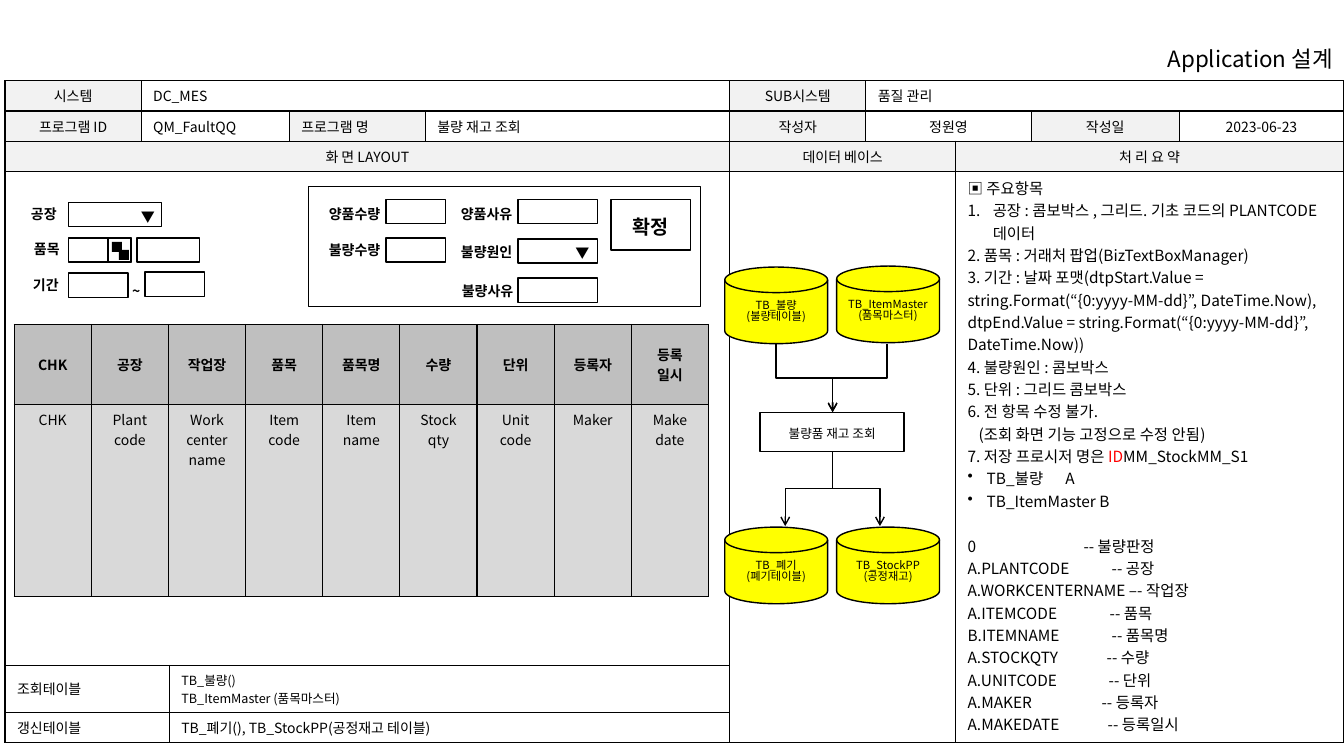
from dataclasses import dataclass

from lxml import etree
from pptx import Presentation
from pptx.dml.color import RGBColor
from pptx.enum.shapes import MSO_CONNECTOR, MSO_SHAPE
from pptx.enum.text import MSO_ANCHOR, PP_ALIGN
from pptx.oxml.ns import qn
from pptx.util import Inches, Pt

CELL = Inches(0.1)  # one grid column or row
FONT = "Noto Sans CJK KR"
BLACK, RED, YELLOW = "000000", "FF0000", "FFFF00"
HEAD, GRID_HEAD, GRID_BODY = "F2F2F2", "BFBFBF", "D9D9D9"
LEFT, CENTER, RIGHT = PP_ALIGN.LEFT, PP_ALIGN.CENTER, PP_ALIGN.RIGHT
TOP, MIDDLE = MSO_ANCHOR.TOP, MSO_ANCHOR.MIDDLE
RECT, DISK, ELBOW = MSO_SHAPE.RECTANGLE, MSO_SHAPE.FLOWCHART_MAGNETIC_DISK, MSO_CONNECTOR.ELBOW


@dataclass
class Line:
    text: str
    spans: tuple = ()  # further (text, colour) pairs
    bullet: str = ""
    margin: float = 0
    hanging: bool = False
    tab: float = 0
    before: int = 0


@dataclass
class Style:
    size: float = 10
    align: int = LEFT
    bold: bool = False
    spacing: object = None


@dataclass
class Entry:
    row: int
    column: int
    lines: list
    columns: int = 1
    rows: int = 1
    fill: str = ""
    style: Style = None
    anchor: int = TOP


def grid(cells: float) -> int:
    return round(cells * CELL)


def colour(value: str) -> RGBColor:
    return RGBColor.from_string(value)


def format_span(span, style: Style, value: str = BLACK) -> None:
    span.font.size, span.font.bold = Pt(style.size), style.bold
    span.font.color.rgb = colour(value)
    span.font.name = FONT
    etree.SubElement(span._r.get_or_add_rPr(), qn("a:ea"), typeface=FONT)


def write(frame, lines: list, style: Style) -> None:
    for index, line in enumerate(lines):
        line = Line(line) if isinstance(line, str) else line
        para = frame.add_paragraph() if index else frame.paragraphs[0]
        para.text = line.text
        para.alignment, para.line_spacing = style.align, style.spacing
        if line.before:
            para.space_before = Pt(line.before)
        format_span(para.runs[0], style)
        for text, value in line.spans:
            span = para.add_run()
            span.text = text
            format_span(span, style, value)
        props = para._p.get_or_add_pPr()
        if line.margin:
            props.set("marL", str(grid(line.margin)))
            props.set("indent", str(-grid(line.margin) if line.hanging else 0))
        if line.bullet == "1.":
            etree.SubElement(props, qn("a:buAutoNum"), type="arabicPeriod")
        elif line.bullet:
            etree.SubElement(props, qn("a:buChar"), char=line.bullet)
        if line.tab:
            tabs = etree.SubElement(props, qn("a:tabLst"))
            etree.SubElement(tabs, qn("a:tab"), pos=str(grid(line.tab)), algn="l")


def prepare_cell(cell) -> None:
    """Give a cell its insets, black borders, no fill and a small empty line."""
    cell.margin_left = cell.margin_right = grid(1.2)
    cell.margin_top = cell.margin_bottom = grid(0.5)
    cell.fill.background()
    for index, side in enumerate(("lnL", "lnR", "lnT", "lnB")):
        border = etree.Element(qn(f"a:{side}"), w=str(Pt(1)))
        fill = etree.SubElement(border, qn("a:solidFill"))
        etree.SubElement(fill, qn("a:srgbClr"), val=BLACK)
        cell._tc.get_or_add_tcPr().insert(index, border)
    etree.SubElement(cell.text_frame.paragraphs[0]._p, qn("a:endParaRPr"), sz="800")


def draw_table(page, left: float, top: float, widths: list, heights: list, entries: list) -> None:
    table = page.shapes.add_table(len(heights), len(widths), grid(left), grid(top),
                                  grid(sum(widths)), grid(sum(heights))).table
    table.first_row = table.horz_banding = False
    for column, width in zip(table.columns, widths):
        column.width = grid(width)
    for row, height in zip(table.rows, heights):
        row.height = grid(height)
    for cell in table.iter_cells():
        prepare_cell(cell)
    for entry in entries:
        cell = table.cell(entry.row, entry.column)
        if entry.columns * entry.rows > 1:
            cell.merge(table.cell(entry.row + entry.rows - 1, entry.column + entry.columns - 1))
        cell.vertical_anchor = entry.anchor
        if entry.fill:
            cell.fill.solid()
            cell.fill.fore_color.rgb = colour(entry.fill)
        write(cell.text_frame, entry.lines, entry.style or Style())


def draw_box(page, left: float, top: float, width: float, height: float, fill: str = "",
             kind: int = RECT, lines: tuple = (), style: Style = None, outlined: bool = True) -> None:
    box = page.shapes.add_shape(kind, grid(left), grid(top), grid(width), grid(height))
    box.shadow.inherit = False
    if fill:
        box.fill.solid()
        box.fill.fore_color.rgb = colour(fill)
    else:
        box.fill.background()
    if outlined:
        box.line.color.rgb, box.line.width = colour(BLACK), Pt(1)
    else:
        box.line.fill.background()
    if lines:
        box.text_frame.word_wrap = True
        box.text_frame.vertical_anchor = MIDDLE
        write(box.text_frame, lines, style)


def draw_label(page, text: str, left: float, top: float, width: float, style: Style) -> None:
    label = page.shapes.add_textbox(grid(left), grid(top), grid(width), grid(2.8))
    label.text_frame.word_wrap = True
    write(label.text_frame, [text], style)


def draw_arrow(page, x1: float, y1: float, x2: float, y2: float) -> None:
    """Elbow that leaves and arrives vertically: a horizontal one, turned about its middle."""
    x, y, half_run, half_rise = (x1 + x2) / 2, (y1 + y2) / 2, (y2 - y1) / 2, abs(x2 - x1) / 2
    arrow = page.shapes.add_connector(ELBOW, grid(x - half_run), grid(y - half_rise),
                                      grid(x + half_run), grid(y + half_rise))
    arrow.line.color.rgb, arrow.line.width = colour(BLACK), Pt(1)
    props = arrow._element.spPr
    frame = props.find(qn("a:xfrm"))
    frame.set("rot", str((270 if x2 > x1 else 90) * 60000))
    if x2 > x1:
        frame.set("flipH", "1")
    etree.SubElement(props.find(qn("a:ln")), qn("a:tailEnd"), type="arrow")
    etree.SubElement(props, qn("a:effectLst"))


def head(row: int, column: int, text: str, columns: int = 1, align: int = CENTER) -> Entry:
    return Entry(row, column, [text], columns, fill=HEAD, style=Style(align=align))


CENTERED = Style(align=CENTER)
COLUMN_NOTES = [("A.PLANTCODE", "공장", 14.3), ("A.WORKCENTERNAME", "작업장", 0),
                ("A.ITEMCODE", "품목", 14.1), ("B.ITEMNAME", "품목명", 14.3),
                ("A.STOCKQTY", "수량", 13.8), ("A.UNITCODE", "단위", 14),
                ("A.MAKER", "등록자", 13.3), ("A.MAKEDATE", "등록일시", 13.9)]
SUMMARY = [
    "▣ 주요항목",
    Line("공장 : 콤보박스 , 그리드. 기초 코드의 PLANTCODE 데이터", bullet="1.", margin=2.5, hanging=True),
    "2. 품목 : 거래처 팝업(BizTextBoxManager)",
    "3. 기간 : 날짜 포맷(dtpStart.Value = string.Format(“{0:yyyy-MM-dd}”, DateTime.Now),",
    "dtpEnd.Value = string.Format(“{0:yyyy-MM-dd}”, DateTime.Now))",
    "4. 불량원인 : 콤보박스", "5. 단위 : 그리드 콤보박스", "6. 전 항목 수정 불가.",
    Line("(조회 화면 기능 고정으로 수정 안됨)", margin=1.1),
    Line("7. 저장 프로시저 명은 ", spans=(("ID", RED), ("MM_StockMM_S1", BLACK))),
    Line("TB_불량\tA", bullet="•", margin=1.9, hanging=True, tab=9.7),
    Line("TB_ItemMaster B", bullet="•", margin=1.9, hanging=True),
    Line("0\t-- 불량판정", tab=11.5, before=16),
] + [Line(f"{name}\t-- {note}", tab=tab) if tab else Line(f"{name} –- {note}")
     for name, note, tab in COLUMN_NOTES]
FORM = [
    head(0, 0, "시스템"), Entry(0, 1, ["DC_MES"], 4),
    head(0, 5, "SUB시스템"), Entry(0, 6, ["품질 관리"], 4),
    head(1, 0, "프로그램 ID"), Entry(1, 1, ["QM_FaultQQ"], 2),
    head(1, 3, "프로그램 명", align=LEFT), Entry(1, 4, ["불량 재고 조회"]),
    head(1, 5, "작성자"), Entry(1, 6, ["정원영"], 2, style=CENTERED),
    head(1, 8, "작성일"), Entry(1, 9, ["2023-06-23"], style=CENTERED),
    head(2, 0, "화 면 LAYOUT", 5), head(2, 5, "데이터 베이스", 2), head(2, 7, "처 리 요 약", 3),
    Entry(3, 0, [], 5), Entry(3, 5, [], 2, 3), Entry(3, 7, SUMMARY, 3, 3, style=Style(11)),
    Entry(4, 0, ["조회테이블"], 2, anchor=MIDDLE),
    Entry(4, 2, ["TB_불량()", "TB_ItemMaster (품목마스터)"], 3, style=Style(9), anchor=MIDDLE),
    Entry(5, 0, ["갱신테이블"], 2, anchor=MIDDLE),
    Entry(5, 2, ["TB_폐기(), TB_StockPP(공정재고 테이블)"], 3, anchor=MIDDLE),
]
STOCK_COLUMNS = [("CHK", "CHK"), ("공장", "Plant code"), ("작업장", "Work center name"),
                 ("품목", "Item code"), ("품목명", "Item name"), ("수량", "Stock qty"),
                 ("단위", "Unit code"), ("등록자", "Maker"), ("등록 일시", "Make date")]
FIELDS = [(6.8, 20.1, 9.2), (6.8, 23.6, 6.2), (10.7, 23.6, 2.3), (13.6, 23.6, 6.2),
          (6.8, 27.1, 5.9), (14.4, 27.0, 5.9), (38.3, 19.8, 5.9), (38.3, 23.6, 5.9),
          (51.4, 19.8, 7.9), (51.4, 23.7, 7.9), (51.4, 27.6, 7.9)]
LABELS = [("공장", 1.5, 19.6, 5.1), ("품목", 1.8, 23.0, 5.1), ("기간", 0.6, 26.6, 6.2),
          ("~", 12.1, 27.2, 2.8), ("양품수량", 31.1, 19.6, 7.6), ("불량수량", 31.1, 23.1, 7.6),
          ("양품사유", 44.2, 19.6, 7.6), ("불량원인", 44.0, 23.3, 7.8), ("불량사유", 44.3, 27.2, 7.6)]
DISKS = [("TB_불량", "(불량테이블)", 71.9, 26.5), ("TB_ItemMaster", "(품목마스터)", 83, 26.4),
         ("TB_폐기", "(폐기테이블)", 71.9, 52.3), ("TB_StockPP", "(공정재고)", 83, 52.3)]
ARROWS = [(77, 34.1, 82.6, 40.9), (88, 34.1, 82.6, 40.9),
          (82.6, 44.8, 87.3, 52.2), (82.6, 44.8, 77.9, 52.2)]


def main() -> None:
    deck = Presentation()
    deck.slide_width, deck.slide_height = grid(133.33), grid(75)
    page = deck.slides.add_slide(deck.slide_layouts[6])
    draw_table(page, 0.5, 8, [13.5, 2.8, 11.9, 13.5, 30.2, 13.5, 8.9, 7.5, 14.7, 16.3],
               [2.6, 2.7, 2.7, 49, 4.1, 2.7], FORM)
    draw_label(page, "Application 설계", 103.5, 4, 29.7, Style(16, RIGHT))
    stock = []
    for column, (title, field) in enumerate(STOCK_COLUMNS):
        stock.append(Entry(0, column, title.split(), fill=GRID_HEAD,
                           style=Style(align=CENTER, bold=True), anchor=MIDDLE))
        stock.append(Entry(1, column, field.split(), fill=GRID_BODY, style=CENTERED))
    draw_table(page, 1.4, 32.2, [68.9 / len(STOCK_COLUMNS)] * len(STOCK_COLUMNS), [7.9, 19.1], stock)

    draw_box(page, 30.6, 18.5, 38.9, 11.9)
    for left, top, width in FIELDS:
        draw_box(page, left, top, width, 2.4)
    for text, left, top, width in LABELS:
        draw_label(page, text, left, top, width, Style(10, RIGHT, True, 1.2))
    for left, top in ((13, 19.9), (56.1, 23.4)):
        draw_label(page, "▼", left, top, 4.6, Style(10, LEFT, True, 1.2))
    for left, top in ((11.1, 24), (11.8, 24.8)):
        draw_box(page, left, top, 1, 1, fill=BLACK, outlined=False)
    draw_box(page, 60.6, 19.8, 7.9, 5, lines=("확정",), style=Style(14, CENTER, True, 1.2))

    draw_box(page, 75.4, 40.9, 14.3, 3.9, lines=("불량품 재고 조회",), style=Style(9, CENTER, False, 1.2))
    for name, note, left, top in DISKS:
        draw_box(page, left, top, 10.2, 7.6, YELLOW, DISK, (name, note), Style(8, CENTER, False, Pt(8)))
    for ends in ARROWS:
        draw_arrow(page, *ends)
    deck.save("out.pptx")


if __name__ == "__main__":
    main()
